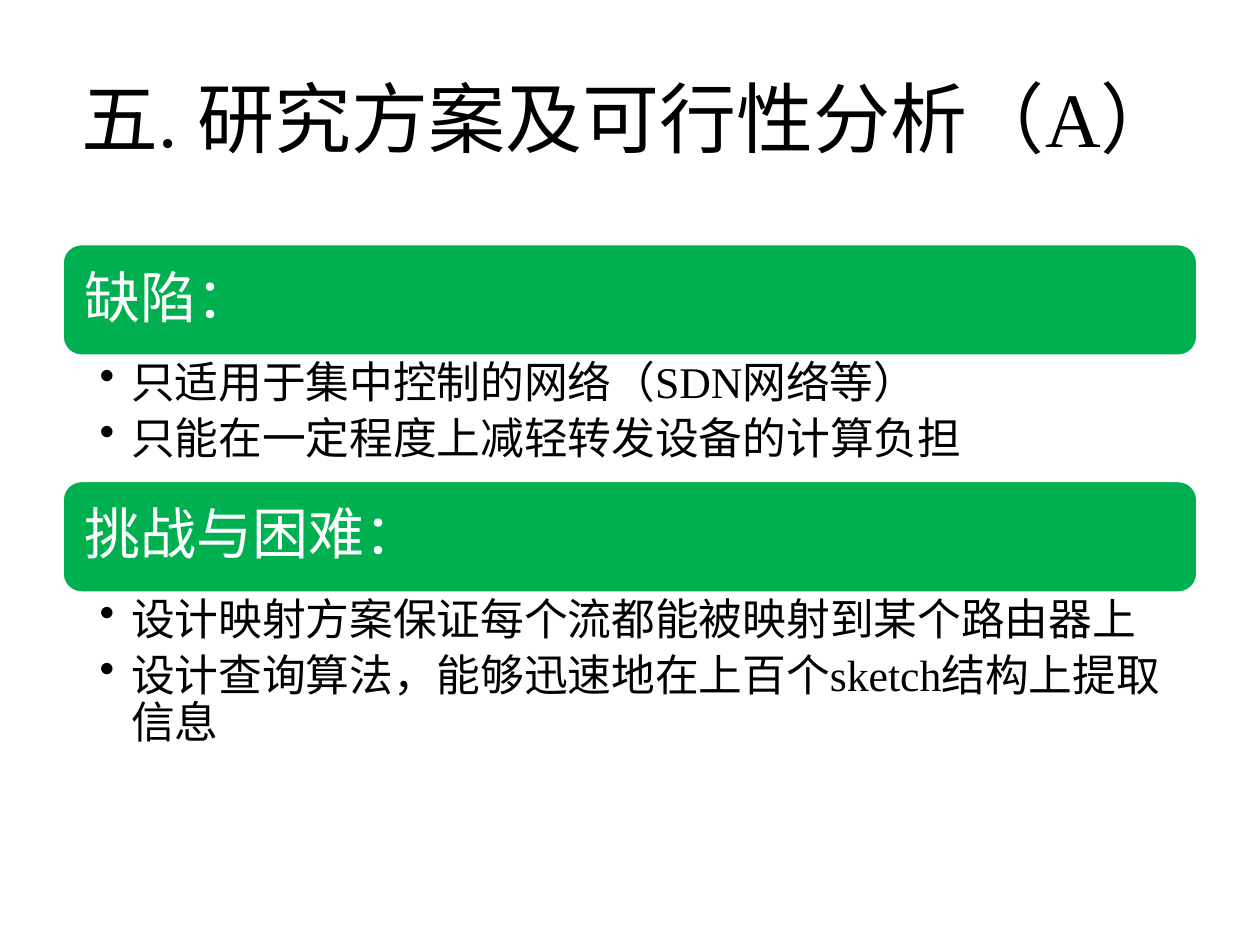
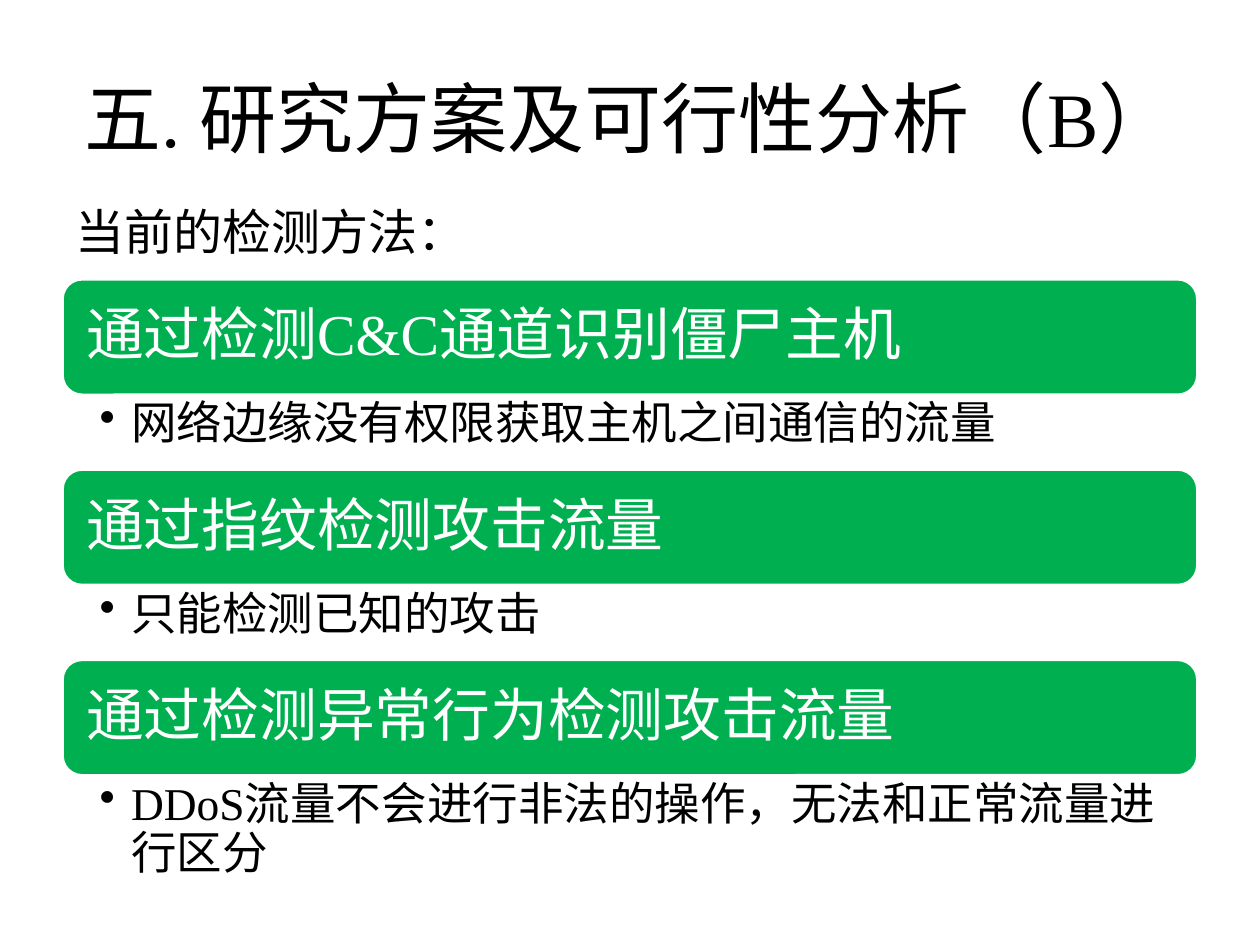
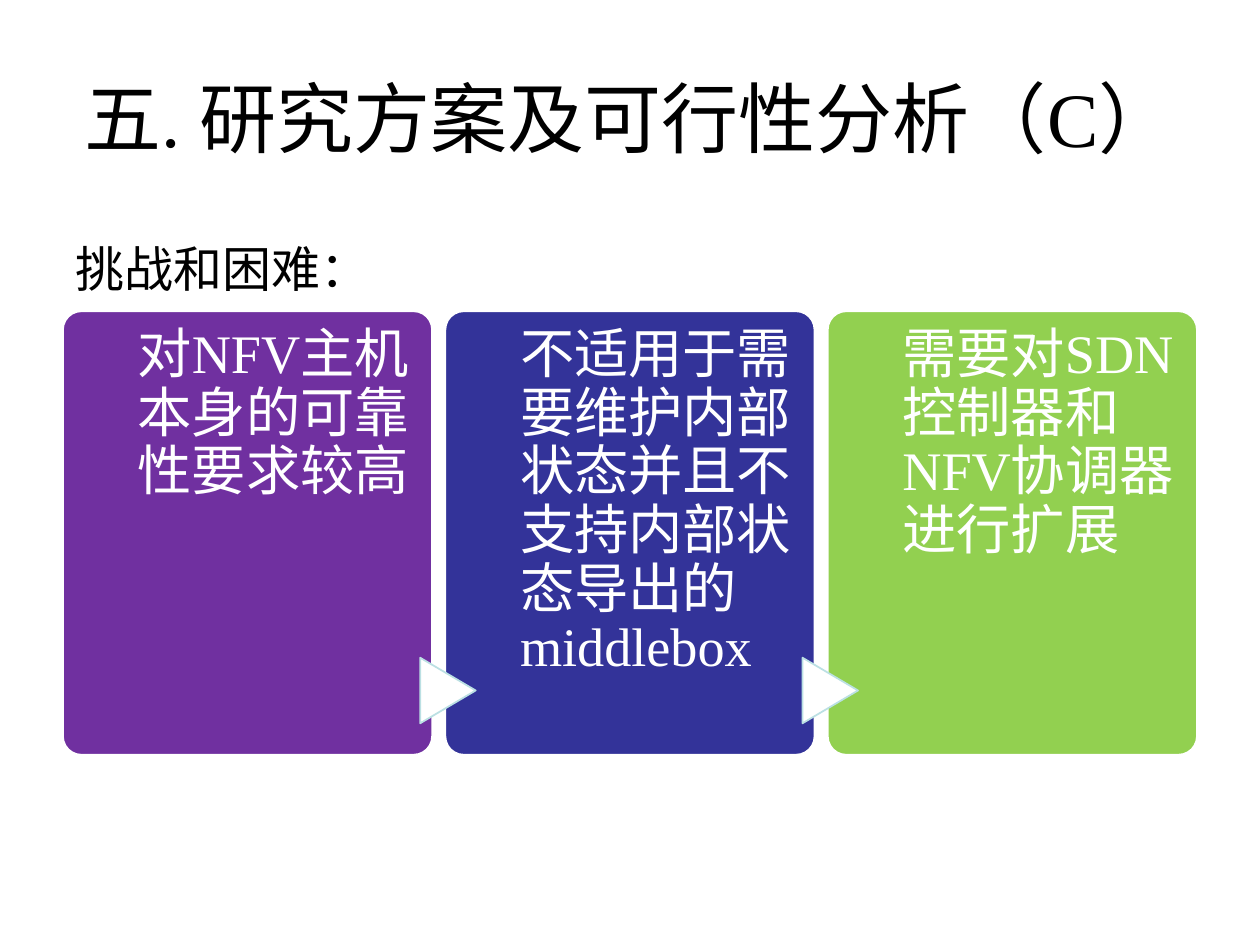
from dataclasses import dataclass

import pptx
import pptx.dml.color
import pptx.enum.shapes
import pptx.enum.text
import pptx.oxml.ns
import pptx.util
from lxml import etree

Inches = pptx.util.Inches
Pt = pptx.util.Pt
Align = pptx.enum.text.PP_ALIGN
Anchor = pptx.enum.text.MSO_ANCHOR
Shape = pptx.enum.shapes.MSO_SHAPE


@dataclass(frozen=True)
class Theme:
    font: str = "Times New Roman"
    ink: str = "000000"
    paper: str = "FFFFFF"
    band: str = "00B050"
    arrow_line: str = "BBE0E3"
    cards: tuple = ("7030A0", "333399", "92D050")
    title_size: int = 44
    intro_size: int = 28
    card_size: int = 31


THEME = Theme()
LEFT, WIDTH = 0.5, 9
TITLE = "五. 研究方案及可行性分析（{}）"
TITLE_BOX = (LEFT, 0.3, WIDTH, 1.25)
BULLET_INDENT = 0.25
CARD_TOP, CARD_WIDTH, CARD_HEIGHT = 2.47, 2.93, 3.52
ARROW_TOP, ARROW_WIDTH, ARROW_HEIGHT = 5.26, 0.52, 0.44
ARROW_OVERLAP = 0.24

# Each section is a band heading, its bullets and the height of the bullet box.
BAND_SLIDES = [
    {
        "letter": "A",
        "intro": None,
        "top": 1.94,
        "band_height": 0.88,
        "band_size": 32,
        "bullet_size": 25,
        "band_margin": 0.13,
        "bullet_margins": (0.29, 0.04, 0.25, 0.04),
        "sections": [
            ("缺陷：",
             ["只适用于集中控制的网络（SDN网络等）",
              "只能在一定程度上减轻转发设备的计算负担"], 1.0),
            ("挑战与困难：",
             ["设计映射方案保证每个流都能被映射到某个路由器上",
              "设计查询算法，能够迅速地在上百个sketch结构上提取信息"], 1.41),
        ],
    },
    {
        "letter": "B",
        "intro": ("当前的检测方法：", (LEFT, 1.55, WIDTH, 0.57)),
        "top": 2.22,
        "band_height": 0.91,
        "band_size": 33,
        "bullet_size": 26,
        "band_margin": 0.14,
        "bullet_margins": (0.29, 0.05, 0.26, 0.05),
        "sections": [
            ("通过检测C&C通道识别僵尸主机",
             ["网络边缘没有权限获取主机之间通信的流量"], 0.6),
            ("通过指纹检测攻击流量", ["只能检测已知的攻击"], 0.6),
            ("通过检测异常行为检测攻击流量",
             ["DDoS流量不会进行非法的操作，无法和正常流量进行区分"], 0.95),
        ],
    },
]

CARD_SLIDE = {
    "letter": "C",
    "intro": ("挑战和困难：", (LEFT, 1.84, 4.25, 0.57)),
    "cards": [
        "对NFV主机本身的可靠性要求较高",
        "不适用于需要维护内部状态并且不支持内部状态导出的middlebox",
        "需要对SDN控制器和NFV协调器进行扩展",
    ],
}


def rgb(value):
    return pptx.dml.color.RGBColor.from_string(value)


def add_bullet(paragraph):
    properties = paragraph._p.get_or_add_pPr()
    indent = Inches(BULLET_INDENT)
    properties.set("marL", str(indent))
    properties.set("indent", str(-indent))
    bullet = etree.SubElement(properties, pptx.oxml.ns.qn("a:buChar"))
    bullet.set("char", "•")


def write(shape, lines, size, color, margins=(0.1, 0.05, 0.1, 0.05),
          anchor=Anchor.TOP, align=Align.LEFT, spacing=1.0, after=0, bullets=False):
    """Fill a shape with paragraphs; margins are left, top, right, bottom in inches."""
    frame = shape.text_frame
    sides = ("margin_left", "margin_top", "margin_right", "margin_bottom")
    settings = dict(zip(sides, map(Inches, margins)))
    settings.update(word_wrap=True, vertical_anchor=anchor,
                    auto_size=pptx.enum.text.MSO_AUTO_SIZE.NONE)
    for name, value in settings.items():
        setattr(frame, name, value)
    for index, line in enumerate(lines):
        paragraph = frame.add_paragraph() if index else frame.paragraphs[0]
        paragraph.text = line
        if bullets:
            add_bullet(paragraph)
        formats = {"alignment": align, "line_spacing": spacing,
                   "space_before": Pt(0), "space_after": Pt(after)}
        for name, value in formats.items():
            setattr(paragraph, name, value)
        font = paragraph.runs[0].font
        for name, value in {"name": THEME.font, "size": Pt(size)}.items():
            setattr(font, name, value)
        font.color.rgb = rgb(color)


def add_text(slide, box, lines, size, **formats):
    text_box = slide.shapes.add_textbox(*map(Inches, box))
    write(text_box, lines, size, THEME.ink, **formats)


def add_filled(slide, kind, box, fill, line=THEME.paper):
    shape = slide.shapes.add_shape(kind, *map(Inches, box))
    shape.shadow.inherit = False
    shape.fill.solid()
    shape.fill.fore_color.rgb = rgb(fill)
    shape.line.color.rgb = rgb(line)
    shape.line.width = Pt(1)
    return shape


def add_titled_slide(presentation, content):
    slide = presentation.slides.add_slide(presentation.slide_layouts[5])
    title = slide.shapes.title
    for name, value in zip(("left", "top", "width", "height"), TITLE_BOX):
        setattr(title, name, Inches(value))
    write(title, [TITLE.format(content["letter"])], THEME.title_size, THEME.ink,
          anchor=Anchor.MIDDLE, align=Align.CENTER)
    if content["intro"]:
        text, box = content["intro"]
        add_text(slide, box, [text], THEME.intro_size)
    return slide


def add_band_slide(presentation, content):
    slide = add_titled_slide(presentation, content)
    top = content["top"]
    for heading, bullets, bullet_height in content["sections"]:
        band = add_filled(slide, Shape.ROUNDED_RECTANGLE,
                          (LEFT, top, WIDTH, content["band_height"]), THEME.band)
        write(band, [heading], content["band_size"], THEME.paper,
              margins=(content["band_margin"],) * 4, anchor=Anchor.MIDDLE, spacing=0.9)
        top += content["band_height"]
        add_text(slide, (LEFT, top, WIDTH, bullet_height), bullets,
                 content["bullet_size"], margins=content["bullet_margins"],
                 spacing=0.9, after=5, bullets=True)
        top += bullet_height


def add_card_slide(presentation, content):
    slide = add_titled_slide(presentation, content)
    pitch = (WIDTH - CARD_WIDTH) / (len(content["cards"]) - 1)
    lefts = [LEFT + index * pitch for index in range(len(content["cards"]))]
    for left, text, color in zip(lefts, content["cards"], THEME.cards):
        card = add_filled(slide, Shape.ROUNDED_RECTANGLE,
                          (left, CARD_TOP, CARD_WIDTH, CARD_HEIGHT), color)
        card.adjustments[0] = 0.05
        write(card, [text], THEME.card_size, THEME.paper,
              margins=(0.55, 0.08, 0.12, 0), spacing=0.9)
    for left in lefts[1:]:
        arrow = add_filled(
            slide, Shape.FLOWCHART_EXTRACT,
            (left - ARROW_OVERLAP, ARROW_TOP, ARROW_WIDTH, ARROW_HEIGHT),
            THEME.paper, THEME.arrow_line)
        arrow.rotation = 90


def main():
    presentation = pptx.Presentation()
    presentation.slide_width = Inches(10)
    presentation.slide_height = Inches(7.5)
    for content in BAND_SLIDES:
        add_band_slide(presentation, content)
    add_card_slide(presentation, CARD_SLIDE)
    presentation.save("out.pptx")


if __name__ == "__main__":
    main()
